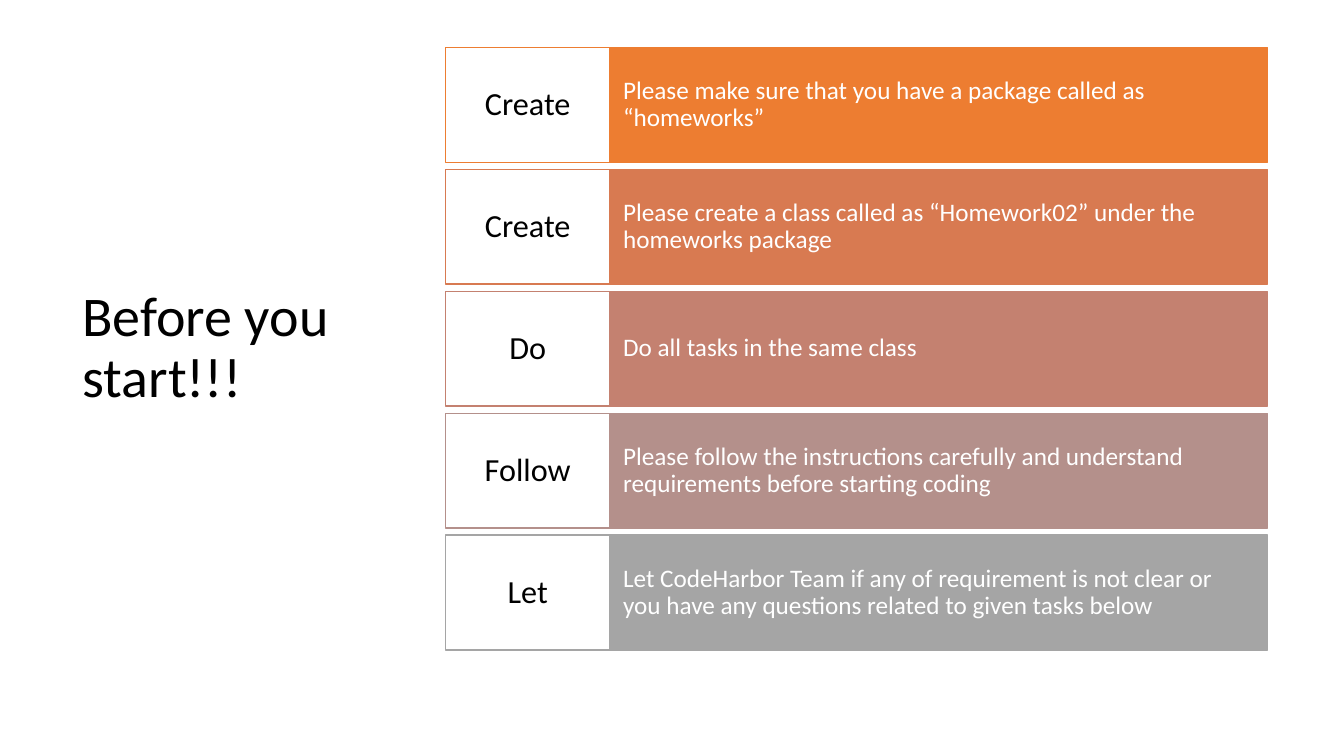
from dataclasses import dataclass

from pptx import Presentation
from pptx.dml.color import RGBColor
from pptx.enum.shapes import MSO_SHAPE
from pptx.enum.text import MSO_ANCHOR, PP_ALIGN
from pptx.slide import Slide
from pptx.text.text import TextFrame
from pptx.util import Inches, Pt

RECTANGLE = MSO_SHAPE.RECTANGLE
MIDDLE = MSO_ANCHOR.MIDDLE
LEFT, CENTER = PP_ALIGN.LEFT, PP_ALIGN.CENTER

BLACK = RGBColor(0x00, 0x00, 0x00)
WHITE = RGBColor(0xFF, 0xFF, 0xFF)
ORANGE = RGBColor(0xED, 0x7D, 0x31)
TERRACOTTA = RGBColor(0xD8, 0x7A, 0x51)
ROSE = RGBColor(0xC4, 0x81, 0x70)
MAUVE = RGBColor(0xB4, 0x90, 0x8B)
GRAY = RGBColor(0xA5, 0xA5, 0xA5)

FONT = "Calibri"
SLIDE_WIDTH, SLIDE_HEIGHT = Inches(13.33), Inches(7.5)
GRID_LEFT, GRID_TOP = Inches(4.42), Inches(0.47)
COLUMN, ROW, ROW_GAP = Inches(1.63), Inches(1.14), Inches(0.07)


@dataclass(frozen=True)
class Area:
    column: float
    row: int
    columns: float
    rows: int = 1

    def box(self) -> tuple[int, int, int, int]:
        return (
            round(GRID_LEFT + self.column * COLUMN),
            round(GRID_TOP + self.row * (ROW + ROW_GAP)),
            round(self.columns * COLUMN),
            round(self.rows * (ROW + ROW_GAP) - ROW_GAP),
        )


@dataclass(frozen=True)
class TextStyle:
    size: float
    color: RGBColor
    alignment: PP_ALIGN
    side_inset: float
    end_inset: float


@dataclass(frozen=True)
class Step:
    verb: str
    instruction: str
    color: RGBColor


TITLE_STYLE = TextStyle(40, BLACK, LEFT, 0.1, 0.05)
VERB_STYLE = TextStyle(23, BLACK, CENTER, 0.09, 0.11)
INSTRUCTION_STYLE = TextStyle(18, WHITE, LEFT, 0.13, 0.29)

STEPS = [
    Step("Create", "Please make sure that you have a package called as “homeworks”", ORANGE),
    Step("Create", "Please create a class called as “Homework02” under the homeworks package", TERRACOTTA),
    Step("Do", "Do all tasks in the same class", ROSE),
    Step("Follow", "Please follow the instructions carefully and understand "
         "requirements before starting coding", MAUVE),
    Step("Let", "Let CodeHarbor Team if any of requirement is not clear or you have "
         "any questions related to given tasks below", GRAY),
]


def apply(target: object, values: dict[str, object]) -> None:
    for attribute, value in values.items():
        setattr(target, attribute, value)


def write(frame: TextFrame, words: str, style: TextStyle) -> None:
    side, end = Inches(style.side_inset), Inches(style.end_inset)
    apply(frame, {
        "word_wrap": True, "vertical_anchor": MIDDLE,
        "margin_left": side, "margin_right": side,
        "margin_top": end, "margin_bottom": end,
    })
    paragraph = frame.paragraphs[0]
    apply(paragraph, {"text": words, "alignment": style.alignment, "line_spacing": 0.9})
    apply(paragraph.runs[0].font, {"name": FONT, "size": Pt(style.size)})
    paragraph.runs[0].font.color.rgb = style.color


def draw_cell(slide: Slide, area: Area, words: str, style: TextStyle,
              fill: RGBColor, border: RGBColor) -> None:
    cell = slide.shapes.add_shape(RECTANGLE, *area.box())
    cell.shadow.inherit = False
    cell.fill.solid()
    cell.fill.fore_color.rgb = fill
    cell.line.color.rgb = border
    cell.line.width = Pt(1)
    write(cell.text_frame, words, style)


def draw_step(slide: Slide, row: int, step: Step) -> None:
    draw_cell(slide, Area(1, row, 4), step.instruction, INSTRUCTION_STYLE, step.color, step.color)
    draw_cell(slide, Area(0, row, 1), step.verb, VERB_STYLE, WHITE, step.color)


presentation = Presentation()
apply(presentation, {"slide_width": SLIDE_WIDTH, "slide_height": SLIDE_HEIGHT})
slide = presentation.slides.add_slide(presentation.slide_layouts[6])

title = slide.shapes.add_textbox(*Area(-2.27, 0, 1.9, len(STEPS)).box())
write(title.text_frame, "Before you start!!!", TITLE_STYLE)

for row, step in enumerate(STEPS):
    draw_step(slide, row, step)

presentation.save("out.pptx")
